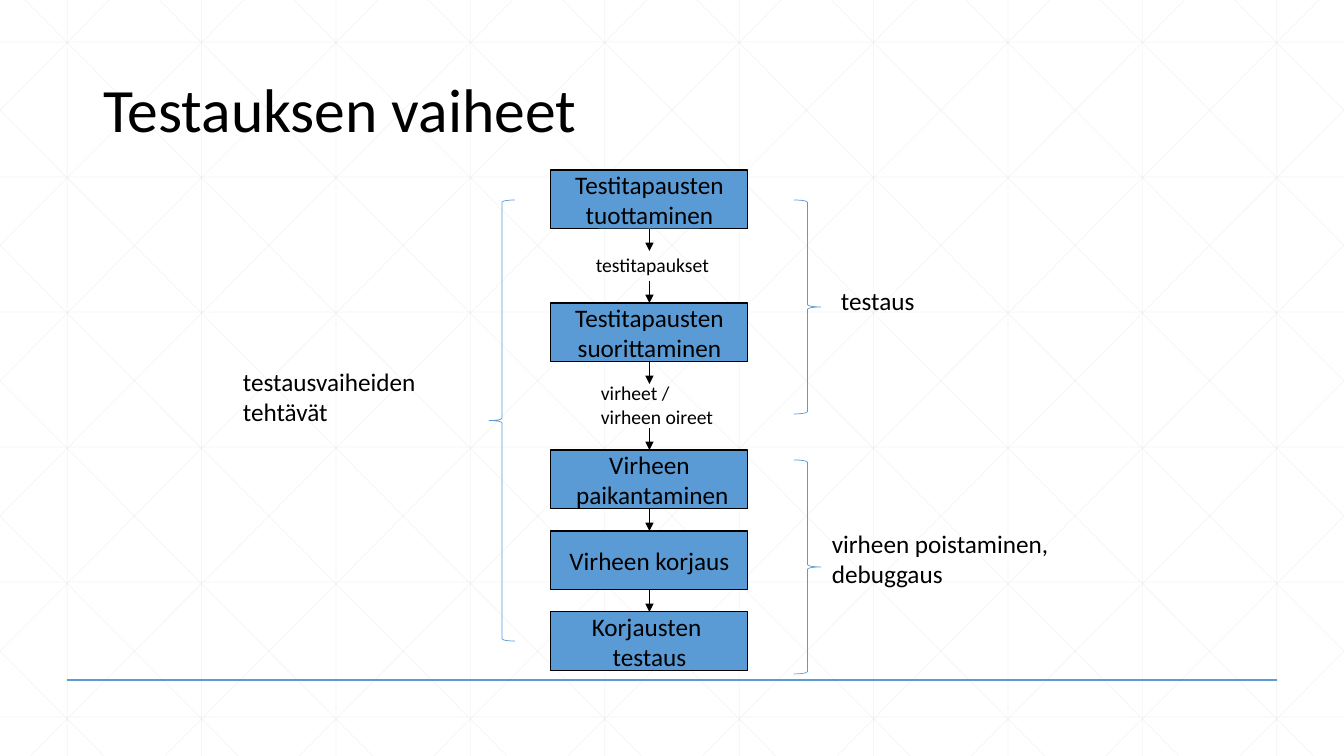
from lxml import etree
from pptx import Presentation
from pptx.dml.color import RGBColor
from pptx.enum.dml import MSO_FILL
from pptx.enum.shapes import MSO_CONNECTOR, MSO_SHAPE
from pptx.enum.text import MSO_ANCHOR, PP_ALIGN
from pptx.oxml.ns import qn
from pptx.util import Pt

SOLID = MSO_FILL.SOLID
STRAIGHT = MSO_CONNECTOR.STRAIGHT
RECT = MSO_SHAPE.RECTANGLE
LEFT_BRACE, RIGHT_BRACE = MSO_SHAPE.LEFT_BRACE, MSO_SHAPE.RIGHT_BRACE
TOP, MIDDLE = MSO_ANCHOR.TOP, MSO_ANCHOR.MIDDLE
LEFT, CENTER = PP_ALIGN.LEFT, PP_ALIGN.CENTER
BLACK = RGBColor(0x00, 0x00, 0x00)
BLUE = RGBColor(0x5B, 0x9B, 0xD5)
GREY = RGBColor(0xD9, 0xD9, 0xD9)
WHITE = RGBColor(0xFF, 0xFF, 0xFF)
FONT = "Calibri"
WIDTH, HEIGHT = 1344, 756
SCALE = 914400 / 100.8


def emu(*pixels):
    """Turn pixels into a list of EMU lengths."""
    return [round(p * SCALE) for p in pixels]


def write(frame, lines, size, align=LEFT, anchor=TOP, wrap=False):
    """Fill a text frame with one paragraph per line."""
    frame.word_wrap = wrap
    frame.vertical_anchor = anchor
    for i, line in enumerate(lines):
        para = frame.add_paragraph() if i else frame.paragraphs[0]
        para.alignment = align
        run = para.add_run()
        run.text = line
        run.font.name, run.font.size = FONT, Pt(size)
        run.font.color.rgb = BLACK


def rule(slide, ends, color, weight):
    """Draw a straight line without shadow between two points."""
    line = slide.shapes.add_connector(STRAIGHT, *emu(*ends))
    line.line.color.rgb, line.line.width = color, Pt(weight)
    etree.SubElement(line._element.spPr, qn("a:effectLst"))
    return line


def faint(slide, ends):
    """Draw one faint line of the backdrop."""
    line = rule(slide, ends, GREY, 0.5)
    color = line._element.spPr.find(".//" + qn("a:srgbClr"))
    etree.SubElement(color, qn("a:alpha"), val="25000")


def arrow(slide, x, top, end):
    """Draw a downward arrow."""
    line = rule(slide, (x, top, x, end), BLACK, 0.75)
    etree.SubElement(line.line._get_or_add_ln(), qn("a:tailEnd"), type="triangle")


def label(slide, box, lines, size):
    """Place a free text."""
    write(slide.shapes.add_textbox(*emu(*box)).text_frame, lines, size)


def shape(slide, kind, box, color, weight, fill=None):
    """Place an outlined preset shape, filled when a colour is given."""
    item = slide.shapes.add_shape(kind, *emu(*box))
    item.shadow.inherit = False
    item.line.color.rgb, item.line.width = color, Pt(weight)
    if fill is None:
        item.fill.background()
    else:
        item.fill.solid()
        item.fill.fore_color.rgb = fill
    return item


def backdrop(slide, width, height):
    """Cover the slide with a grid, its diagonals and a base line."""
    step = width / 10
    run = height - 5
    slope = height / run
    for k in range(10):
        x = step * (k + 0.5)
        faint(slide, (x, 0, x, height))
    for k in range(6):
        y = 42 + 135 * k
        faint(slide, (0, y, width, y))
    for k in range(-5, 10):
        origin = 25 + step * k
        x1, x2 = max(0, origin), min(width, origin + run)
        y1, y2 = (x1 - origin) * slope, (x2 - origin) * slope
        faint(slide, (x1, y1, x2, y2))
        faint(slide, (width - x1, y1, width - x2, y2))
    rule(slide, (step / 2, 680, width - step / 2, 680), BLUE, 1)


def heading(slide, box, text):
    """Move and format the title placeholder."""
    title = slide.shapes.title
    title.left, title.top, title.width, title.height = emu(*box)
    write(title.text_frame, [text], 44, LEFT, MIDDLE, True)
    title.text_frame.paragraphs[0].line_spacing = 0.9
    slide.shapes._spTree.append(title._element)


def flow(slide, left, top, width):
    """Stack the test phases with their arrows and results."""
    phases = [
        (0, ["Testitapausten", "tuottaminen"]),
        (133, ["Testitapausten", "suorittaminen"]),
        (280, ["Virheen", " paikantaminen"]),
        (361, ["Virheen korjaus"]),
        (442, ["Korjausten ", "testaus"]),
    ]
    tall, gap = 59, 22
    mid = left + width / 2
    for y, lines in phases:
        box = shape(slide, RECT, (left, top + y, width, tall), BLACK, 0.75, BLUE)
        write(box.text_frame, lines, 18, CENTER, MIDDLE)
    label(slide, (left + 35, top + 78, 135, 34), ["testitapaukset"], 14)
    label(slide, (left + 40, top + 206, 134, 57), ["virheet / ", "virheen oireet"], 14)
    for (y, _), (below, _) in zip(phases, phases[1:]):
        starts = {y + tall, below - gap}
        for start in starts:
            arrow(slide, mid, top + start, top + start + gap)


def braces(slide, left, top):
    """Group the phases with braces and name each group."""
    groups = [
        (LEFT_BRACE, (256, 0, 26, 441), (0, 161, 195, 72),
         ["testausvaiheiden", "tehtävät"]),
        (RIGHT_BRACE, (561, 0, 27, 214), (598, 80, 95, 40), ["testaus"]),
        (RIGHT_BRACE, (561, 260, 27, 214), (589, 323, 240, 72),
         ["virheen poistaminen,", "debuggaus"]),
    ]
    for kind, (x, y, *size), (tx, ty, *room), lines in groups:
        shape(slide, kind, (left + x, top + y, *size), BLUE, 0.5)
        label(slide, (left + tx, top + ty, *room), lines, 18)


def main():
    """Build and save the slide."""
    deck = Presentation()
    deck.slide_width, deck.slide_height = emu(WIDTH, HEIGHT)
    slide = deck.slides.add_slide(deck.slide_layouts[5])
    fill = slide.background.fill
    fill.solid()
    if fill.type == SOLID:
        fill.fore_color.rgb = WHITE
    backdrop(slide, WIDTH, HEIGHT)
    flow(slide, 551, 170, 197)
    braces(slide, 233, 200)
    heading(slide, (93, 40, 1159, 146), "Testauksen vaiheet")
    deck.save("out.pptx")


main()
